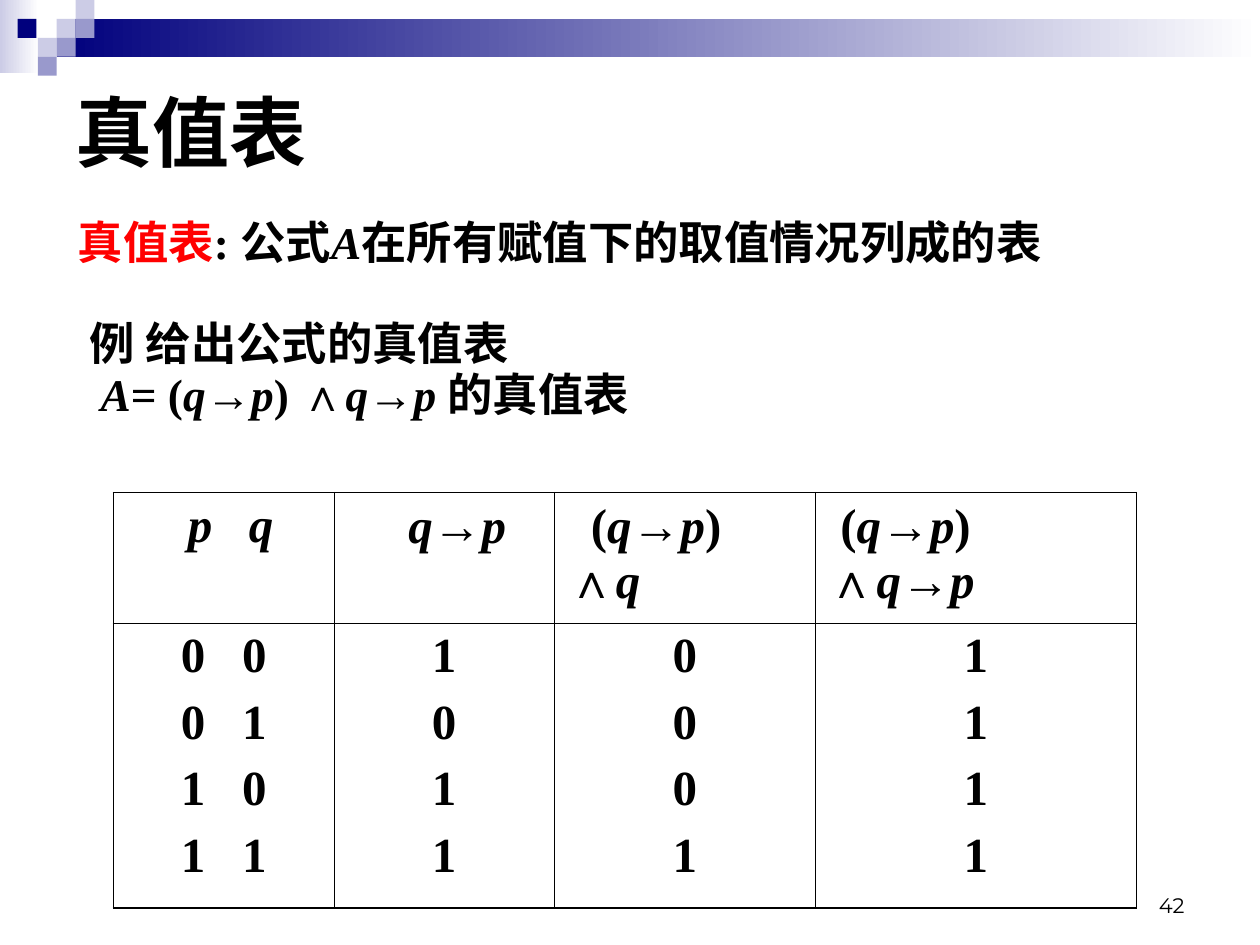
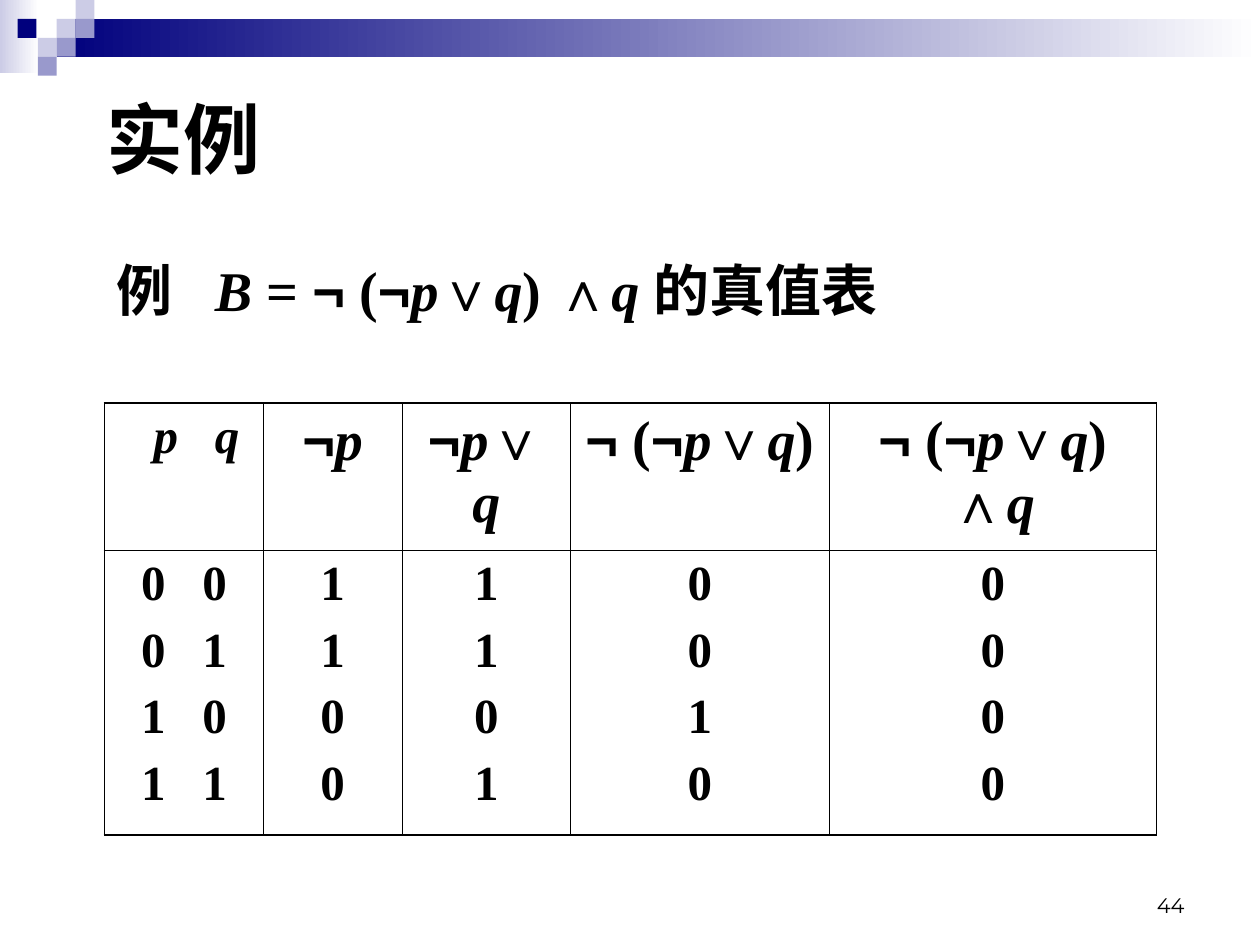
from itertools import groupby

from lxml import etree
from pptx import Presentation
from pptx.dml.color import RGBColor
from pptx.enum.shapes import MSO_SHAPE
from pptx.enum.text import MSO_ANCHOR, PP_ALIGN
from pptx.oxml.ns import qn
from pptx.util import Inches, Pt

# Shared style
BLACK = RGBColor(0x00, 0x00, 0x00)
WHITE = RGBColor(0xFF, 0xFF, 0xFF)
RED = RGBColor(0xFF, 0x00, 0x00)
NAVY = RGBColor(0x00, 0x00, 0x7D)
LILAC = RGBColor(0x99, 0x99, 0xCC)
PALE = RGBColor(0xCC, 0xCC, 0xE6)
SERIF, SANS = "Times New Roman", "Arial"
CHINESE, FOOTER = "Noto Sans CJK SC", "Montserrat"
RECTANGLE = MSO_SHAPE.RECTANGLE
TOP, MIDDLE, BOTTOM = MSO_ANCHOR.TOP, MSO_ANCHOR.MIDDLE, MSO_ANCHOR.BOTTOM
LEFT, CENTER, RIGHT = PP_ALIGN.LEFT, PP_ALIGN.CENTER, PP_ALIGN.RIGHT

# The slide is a grid of 200 columns by 150 rows
WIDTH, HEIGHT = Inches(10), Inches(7.5)
UNIT = WIDTH // 200
SQUARE = 3
SQUARES = [(3, 1, PALE), (4, 0, PALE), (4, 1, LILAC), (2, 2, PALE),
           (0.93, 1, NAVY), (3, 2, LILAC), (2, 3, LILAC)]

TITLE_SIZE, TABLE_SIZE, PAGE_SIZE = 44, 28, 12
INNER_LINE, OUTER_LINE = 0.45, 1.08
GAP = "_"  # stands for one wide space
OPERATORS = "→∧∨¬"


def kind_of(letter):
    """Sort a character into the kind that decides its font."""
    if letter == GAP:
        return "gap"
    if letter in OPERATORS:
        return "operator"
    if letter >= "一":
        return "chinese"
    return "variable" if letter.isalpha() else "plain"


FONT_OF = {"operator": SANS, "chinese": CHINESE}


def apply(target, values):
    for name, value in values.items():
        setattr(target, name, value)


class SlideBuilder:
    """Holds the deck's style and the slide being built."""

    def __init__(self):
        self.deck = Presentation()
        apply(self.deck, {"slide_width": WIDTH, "slide_height": HEIGHT})
        self.page = None

    def place(self, *cells):
        return [round(cell * UNIT) for cell in cells]

    def new_page(self, number):
        self.page = self.deck.slides.add_slide(self.deck.slide_layouts[6])
        # Fading bands and the corner squares
        self.rectangle((0, 0, 6.2, 11.6), PALE, WHITE)
        self.rectangle((9, 3, 191, 6), NAVY, WHITE)
        for column, row, colour in SQUARES:
            self.rectangle((column * SQUARE, row * SQUARE, SQUARE, SQUARE), colour)
        # Page number
        frame = self.text_box((143.4, 136.6, 46.6, 10), BOTTOM)
        self.add_text(self.paragraph(frame, alignment=RIGHT), str(number),
                      PAGE_SIZE, bold=False, font=FOOTER)

    def rectangle(self, area, colour, fade_to=None):
        shape = self.page.shapes.add_shape(RECTANGLE, *self.place(*area))
        shape.shadow.inherit = False
        shape.line.fill.background()
        if fade_to is None:
            shape.fill.solid()
            shape.fill.fore_color.rgb = colour
        else:
            shape.fill.gradient()
            shape.fill.gradient_angle = 0
            for stop, shade in zip(shape.fill.gradient_stops, (colour, fade_to)):
                stop.color.rgb = shade

    def text_box(self, area, anchor=TOP):
        frame = self.page.shapes.add_textbox(*self.place(*area)).text_frame
        apply(frame, {"word_wrap": True, "vertical_anchor": anchor})
        return frame

    def paragraph(self, frame, indent=0, **formats):
        """Give the first paragraph if unused, else a new one."""
        first = frame.paragraphs[0]
        para = frame.add_paragraph() if first.runs else first
        apply(para, formats)
        if indent:
            para._p.get_or_add_pPr().set("indent", str(Inches(indent)))
        return para

    def add_text(self, para, text, size, colour=BLACK, bold=True, font=None):
        """Add text, each kind of character in its own font."""
        for kind, letters in groupby(text, kind_of):
            span = para.add_run()
            span.text = "".join(letters).replace(GAP, " ")
            face = font or FONT_OF.get(kind, SERIF)
            apply(span.font, {"name": face, "size": Pt(size), "bold": bold,
                              "italic": kind == "variable"})
            span.font.color.rgb = colour
            properties = span._r.get_or_add_rPr()
            etree.SubElement(properties, qn("a:ea"), typeface=face)
            if kind == "gap":
                properties.set("spc", str(size * 50))

    def title(self, text, column, row):
        frame = self.text_box((column, row, 180, 21.6), MIDDLE)
        self.add_text(self.paragraph(frame), text, TITLE_SIZE)

    def border(self, cell, widths):
        properties = cell._tc.get_or_add_tcPr()
        for side, width in zip("LRTB", widths):
            line = etree.SubElement(properties, qn(f"a:ln{side}"), w=str(Pt(width)))
            fill = etree.SubElement(line, qn("a:solidFill"))
            etree.SubElement(fill, qn("a:srgbClr"), val=str(BLACK))

    def truth_table(self, column, row, widths, heights, headers, values):
        """Headers are (text, size, alignment, indent); values hold one list a column."""
        area = self.place(column, row, sum(widths), sum(heights))
        table = self.page.shapes.add_table(2, len(widths), *area).table
        apply(table, {"first_row": False, "horz_banding": False})
        for table_row, height in zip(table.rows, self.place(*heights)):
            table_row.height = height
        last = len(widths) - 1
        for index, width in enumerate(self.place(*widths)):
            table.columns[index].width = width
            head, body = table.cell(0, index), table.cell(1, index)
            left = OUTER_LINE if index == 0 else INNER_LINE
            right = OUTER_LINE if index == last else INNER_LINE
            self.border(head, (left, right, OUTER_LINE, INNER_LINE))
            self.border(body, (left, right, INNER_LINE, OUTER_LINE))
            for cell in (head, body):
                cell.fill.background()
            text, size, alignment, indent = headers[index]
            para = self.paragraph(head.text_frame, indent, alignment=alignment,
                                  space_before=Pt(size // 4))
            self.add_text(para, text, size)
            for value in values[index]:
                para = self.paragraph(body.text_frame, alignment=CENTER,
                                      space_before=Pt(TABLE_SIZE // 4))
                self.add_text(para, value, TABLE_SIZE)


ASSIGNMENTS = ["0_0", "0_1", "1_0", "1_1"]


def truth_table_slide(builder):
    builder.new_page(42)
    builder.title("真值表", 10, 10)

    # Definition and example
    size, line = 25.9, {"line_spacing": Pt(29)}
    frame = builder.text_box((8.6, 33.6, 180, 39.4))
    para = builder.paragraph(frame, 0.09, **line)
    builder.add_text(para, "真值表", size, RED)
    builder.add_text(para, ": 公式A在所有赋值下的取值情况列成的表", size)
    para = builder.paragraph(frame, 0.18, space_before=Pt(29), **line)
    builder.add_text(para, "例 给出公式的真值表", size)
    para = builder.paragraph(frame, 0.27, **line)
    builder.add_text(para, "A= (q→p) ∧q→p 的真值表", size)

    headers = [("p_q", 28, LEFT, 0.49), ("q→p", 28, LEFT, 0.49),
               ("(q→p) ∧q", 28, LEFT, 0.19), ("(q→p) ∧q→p", 28, LEFT, 0.1)]
    builder.truth_table(18, 78.2, (35, 35, 41.4, 51), (19.4, 45.2), headers,
                        [ASSIGNMENTS, "1011", "0001", "1111"])


def example_slide(builder):
    builder.new_page(44)

    # Formula
    frame = builder.text_box((16.6, 37.4, 156, 14.8))
    para = builder.paragraph(frame, line_spacing=Pt(46))
    builder.add_text(para, "例_B = ¬ (¬p∨q) ∧q 的真值表", 32)

    formulas = ["¬p", "¬p∨q", "¬ (¬p∨q)", "¬ (¬p∨q) ∧q"]
    headers = [("p_q", 28, LEFT, 0.29)]
    headers += [(formula, 32, CENTER, 0) for formula in formulas]
    builder.truth_table(16.6, 64, (25.2, 22, 26.8, 41, 52), (23.4, 45.2), headers,
                        [ASSIGNMENTS, "1100", "1101", "0010", "0000"])
    builder.title("实例", 15, 11)


def main():
    builder = SlideBuilder()
    truth_table_slide(builder)
    example_slide(builder)
    builder.deck.save("out.pptx")


if __name__ == "__main__":
    main()
